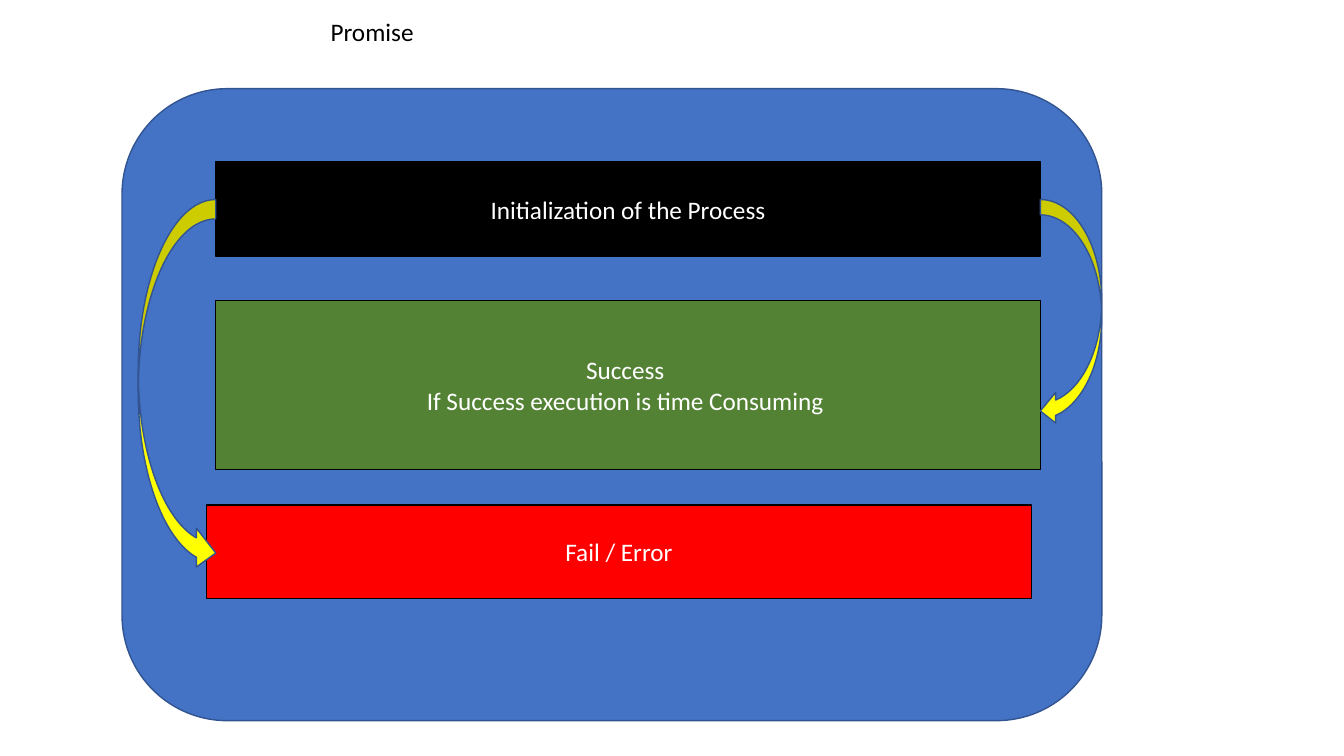
from dataclasses import dataclass
from pptx import Presentation
from pptx import util as u
from pptx.dml import color
from pptx.enum import shapes, text


@dataclass(frozen=True)
class Theme:
    font: str = "Calibri"
    size: int = 18
    line: float = 1
    panel: str = "4472C4"
    edge: str = "325491"
    black: str = "000000"
    white: str = "FFFFFF"
    green: str = "548235"
    red: str = "FF0000"
    arrow: str = "FFFF00"


@dataclass(frozen=True)
class Box:
    left: float
    top: float
    width: float
    height: float

    def cell(self, col, row, cols, rows):
        return Box(self.left + self.width * col / 100,
                   self.top + self.height * row / 100,
                   self.width * cols / 100, self.height * rows / 100)

    def place(self):
        return [u.Inches(n) for n in (self.left, self.top, self.width, self.height)]


THEME = Theme()
KIND = shapes.MSO_SHAPE
PAGE = Box(0, 0, 13.33, 7.5)


def rgb(code):
    return color.RGBColor.from_string(code)


def write(shape, lines, tint=THEME.white, align=text.PP_ALIGN.CENTER):
    frame = shape.text_frame
    frame.word_wrap = True
    frame.auto_size = text.MSO_AUTO_SIZE.NONE
    frame.vertical_anchor = text.MSO_ANCHOR.MIDDLE
    frame.text = "\n".join(lines)
    for para in frame.paragraphs:
        para.alignment = align
        for run in para.runs:
            run.font.name = THEME.font
            run.font.size = u.Pt(THEME.size)
            run.font.color.rgb = rgb(tint)


def draw(slide, kind, box, fill, edge):
    shape = slide.shapes.add_shape(kind, *box.place())
    shape.shadow.inherit = False
    shape.fill.solid()
    shape.fill.fore_color.rgb = rgb(fill)
    shape.line.color.rgb = rgb(edge)
    shape.line.width = u.Pt(THEME.line)
    return shape


def head(slide, box):
    title = slide.shapes.title
    title.left, title.top, title.width, title.height = box.place()
    write(title, ["Promise"], tint=THEME.black, align=text.PP_ALIGN.LEFT)


def flow(slide, box):
    draw(slide, KIND.ROUNDED_RECTANGLE, box, THEME.panel, THEME.edge)
    left, wide, thin, tall = 9.57, 84.16, 14.83, 26.79
    bars = [
        (left, 11.64, thin, THEME.black, ["Initialization of the Process"]),
        (left, 33.49, tall, THEME.green,
         ["Success ", "If Success execution is time Consuming "]),
        (8.64, 65.87, thin, THEME.red, ["Fail / Error"]),
    ]
    for col, row, rows, fill, lines in bars:
        bar = draw(slide, KIND.RECTANGLE, box.cell(col, row, wide, rows),
                   fill, THEME.black)
        write(bar, lines)

    right, start, reach = left + wide, 17.54, 7.92
    arrows = [(right, 100 - right, 35.89, False),
              (left - reach, reach, 59.01, True)]
    for col, cols, rows, flip in arrows:
        arrow = draw(slide, KIND.CURVED_LEFT_ARROW,
                     box.cell(col, start, cols, rows), THEME.arrow, THEME.edge)
        if flip:
            arrow.element.spPr.xfrm.set("flipH", "1")


def main():
    deck = Presentation()
    deck.slide_width, deck.slide_height = PAGE.place()[2:]
    slide = deck.slides.add_slide(deck.slide_layouts.get_by_name("Title Only"))
    head(slide, PAGE.cell(23.85, 1.47, 44.4, 5.33))
    flow(slide, PAGE.cell(9.08, 11.73, 72.9, 83.6))
    deck.save("out.pptx")


main()
